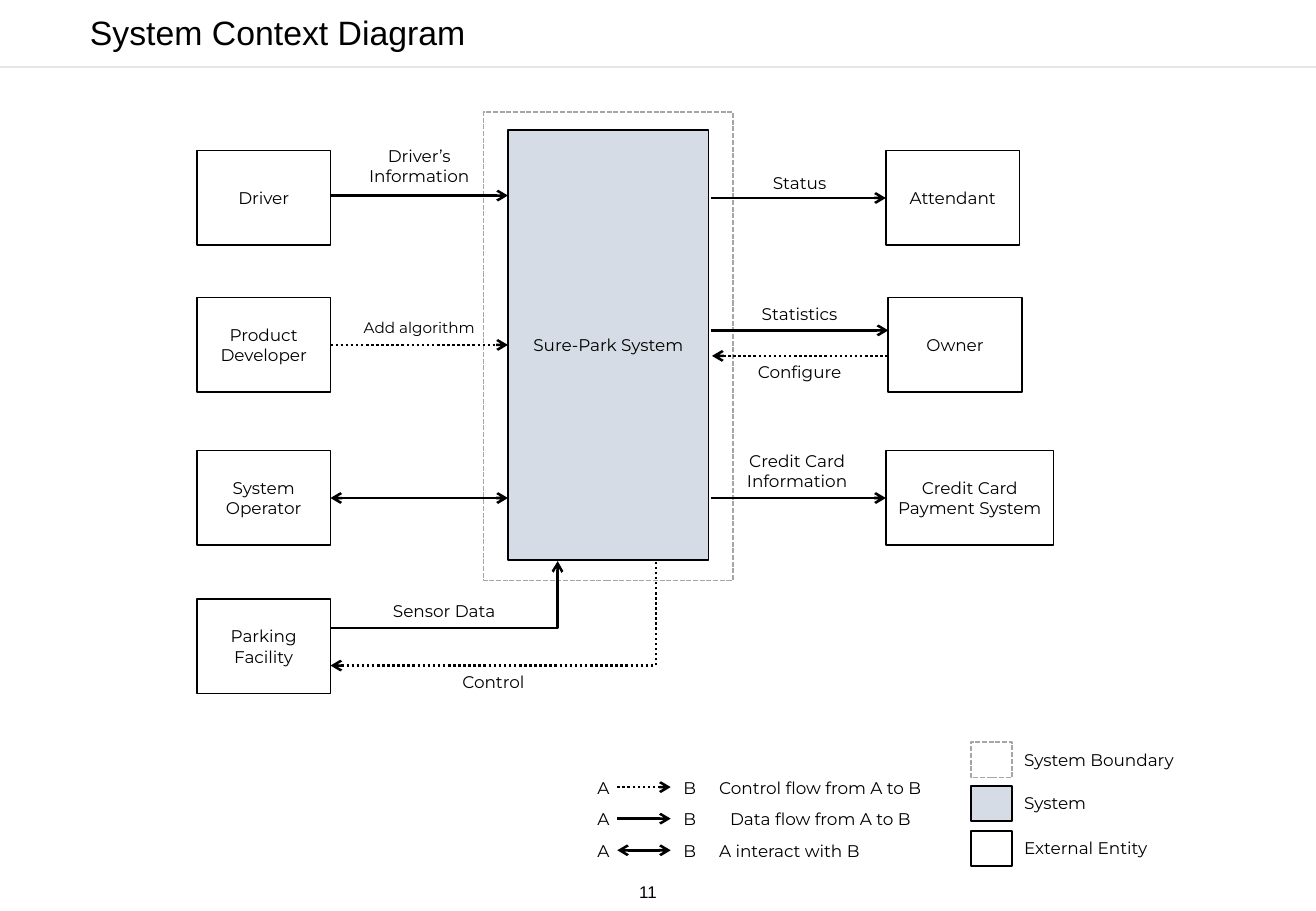
import dataclasses

import lxml.etree
import pptx
import pptx.dml.color
import pptx.enum.dml
import pptx.enum.shapes
import pptx.enum.text
import pptx.oxml.ns
import pptx.util

PX = pptx.util.Inches(1) // 100
ALIGN = pptx.enum.text.PP_ALIGN
ANCHOR = pptx.enum.text.MSO_ANCHOR
DASH = pptx.enum.dml.MSO_LINE
CONNECTOR = pptx.enum.shapes.MSO_CONNECTOR
RECTANGLE = pptx.enum.shapes.MSO_SHAPE.RECTANGLE
LEFT_SIDE, RIGHT_SIDE = 1, 3


@dataclasses.dataclass(frozen=True)
class Theme:
    ink: str = "000000"
    system: str = "D6DCE5"
    boundary: str = "A6A6A6"
    rule: str = "E7E6E6"
    heading_font: str = "Arial"
    body_font: str = "Montserrat"
    title: int = 20
    body: int = 10
    small: int = 9
    outline: float = 1
    flow: float = 1.5


THEME = Theme()
BOUNDARY_STYLE = {"color": THEME.boundary, "dash": DASH.SQUARE_DOT}
SYSTEM_STYLE = {"fill": THEME.system}


def rgb(value):
    return pptx.dml.color.RGBColor.from_string(value)


def apply(target, values):
    for name, value in values.items():
        setattr(target, name, value)


def style_line(line, color, width, dash=None):
    line.color.rgb = rgb(color)
    apply(line, {"width": pptx.util.Pt(width), "dash_style": dash})


def write(shape, text, size=THEME.body, font=THEME.body_font,
          align=ALIGN.CENTER, anchor=ANCHOR.TOP, wrap=True):
    frame = shape.text_frame
    apply(frame, {"text": text, "word_wrap": wrap, "vertical_anchor": anchor})
    for paragraph in frame.paragraphs:
        paragraph.alignment = align
        for run in paragraph.runs:
            apply(run.font, {"name": font, "size": pptx.util.Pt(size)})
            run.font.color.rgb = rgb(THEME.ink)
    return frame


def add_text(slide, x, y, w, h, text, **options):
    shape = slide.shapes.add_textbox(x * PX, y * PX, w * PX, h * PX)
    return write(shape, text, **options)


def add_box(slide, x, y, w, h, text="", fill=None, color=THEME.ink, dash=None):
    shape = slide.shapes.add_shape(RECTANGLE, x * PX, y * PX, w * PX, h * PX)
    shape.shadow.inherit = False
    if fill:
        shape.fill.solid()
        shape.fill.fore_color.rgb = rgb(fill)
    else:
        shape.fill.background()
    style_line(shape.line, color, THEME.outline, dash)
    if text:
        write(shape, text, anchor=ANCHOR.MIDDLE)
    return shape


def add_line(slide, x1, y1, x2, y2, ends=(), dash=None, color=THEME.ink,
             width=THEME.flow, kind=CONNECTOR.STRAIGHT):
    connector = slide.shapes.add_connector(kind, x1 * PX, y1 * PX, x2 * PX, y2 * PX)
    style_line(connector.line, color, width, dash)
    qualified = pptx.oxml.ns.qn
    properties = connector.element.spPr
    outline = properties.find(qualified("a:ln"))
    for end in ends:
        lxml.etree.SubElement(outline, qualified(f"a:{end}End"), type="arrow")
    lxml.etree.SubElement(properties, qualified("a:effectLst"))
    if kind == CONNECTOR.ELBOW:
        adjustments = properties.find(qualified("a:prstGeom")).get_or_add_avLst()
        lxml.etree.SubElement(adjustments, qualified("a:gd"), name="adj1", fmla="val 99900")
    return connector


def add_header(slide, x, y, w, h):
    add_line(slide, x, y + h, x + w, y + h, color=THEME.rule, width=THEME.outline)
    frame = add_text(slide, x + 14, y + 5, w - 36, h - 5, "System Context Diagram",
                     size=THEME.title, font=THEME.heading_font, align=ALIGN.LEFT)
    frame.margin_left = 60 * PX


def add_context_diagram(slide, x, y):
    add_box(slide, x + 236, y, 205, 386, **BOUNDARY_STYLE)
    system = add_box(slide, x + 256, y + 15, 165, 354, "Sure-Park System", **SYSTEM_STYLE)
    entities = {
        name: add_box(slide, x + left, y + top, width, 78, name)
        for name, left, top, width in (
            ("Driver", 0, 32, 110),
            ("Product Developer", 0, 153, 110),
            ("System Operator", 0, 279, 110),
            ("Parking\nFacility", 0, 401, 110),
            ("Attendant", 567, 32, 110),
            ("Owner", 569, 153, 110),
            ("Credit Card\nPayment System", 567, 279, 138),
        )
    }

    def flow(left, top, ends=("tail",), dash=None):
        return add_line(slide, x + left, y + top, x + left + 146, y + top, ends, dash)

    flow(110, 69)
    algorithm = flow(110, 192, dash=DASH.ROUND_DOT)
    interaction = flow(110, 318, ("head", "tail"))
    status = flow(423, 71)
    flow(423, 180)
    flow(424, 201, ("head",), DASH.ROUND_DOT)
    payment = flow(423, 318)

    algorithm.begin_connect(entities["Product Developer"], RIGHT_SIDE)
    algorithm.end_connect(system, LEFT_SIDE)
    interaction.begin_connect(entities["System Operator"], RIGHT_SIDE)
    status.end_connect(entities["Attendant"], LEFT_SIDE)
    payment.end_connect(entities["Credit Card\nPayment System"], LEFT_SIDE)

    for right, top, end, dash in ((297, 425, "tail", None), (378, 456, "head", DASH.ROUND_DOT)):
        add_line(slide, x + 110, y + top, x + right, y + 370, (end,), dash,
                 kind=CONNECTOR.ELBOW)

    for text, left, top, width, height, size in (
        ("Driver’s Information", 110, 23, 146, 44, THEME.body),
        ("Add algorithm", 110, 165, 146, 25, THEME.small),
        ("Status", 423, 45, 146, 27, THEME.body),
        ("Statistics", 423, 153, 146, 27, THEME.body),
        ("Configure", 423, 201, 146, 27, THEME.body),
        ("Credit Card\nInformation", 421, 274, 146, 44, THEME.body),
        ("Sensor Data", 110, 398, 187, 27, THEME.body),
        ("Control", 110, 456, 268, 27, THEME.body),
    ):
        add_text(slide, x + left, y + top, width, height, text, size=size)


def add_flow_legend(slide, x, y):
    for row, (text, width, align, ends, dash) in enumerate((
        ("Control flow from A to B", 209, ALIGN.LEFT, ("tail",), DASH.ROUND_DOT),
        ("Data flow from A to B", 186, ALIGN.CENTER, ("tail",), None),
        ("A interact with B", 186, ALIGN.LEFT, ("head", "tail"), None),
    )):
        top = y + 26 * row
        add_line(slide, x + 31, top + 13, x + 75, top + 13, ends, dash)
        for letter, left in (("A", 0), ("B", 71)):
            add_text(slide, x + left, top, 39, 27, letter)
        add_text(slide, x + 105, top, width, 27, text, align=align)


def add_symbol_legend(slide, x, y):
    for row, (text, style) in enumerate((
        ("System Boundary", BOUNDARY_STYLE),
        ("System", SYSTEM_STYLE),
        ("External Entity", {}),
    )):
        top = y + round(36.5 * row)
        add_box(slide, x, top, 34, 29, **style)
        add_text(slide, x + 34, top + 1, 157, 27, text, align=ALIGN.LEFT)


def add_page_number(slide, x, y):
    frame = add_text(slide, x, y, 25, 25, "11", font=THEME.heading_font,
                     align=ALIGN.LEFT, wrap=False)
    apply(frame, dict.fromkeys(
        ("margin_left", "margin_right", "margin_top", "margin_bottom"), 4 * PX))


def main():
    presentation = pptx.Presentation()
    apply(presentation, {"slide_width": 1083 * PX, "slide_height": 750 * PX})
    slide = presentation.slides.add_slide(presentation.slide_layouts[6])
    add_header(slide, 0, 0, 1083, 55)
    add_context_diagram(slide, 162, 92)
    add_flow_legend(slide, 477, 635)
    add_symbol_legend(slide, 799, 611)
    add_page_number(slide, 522, 722)
    presentation.save("out.pptx")


if __name__ == "__main__":
    main()
